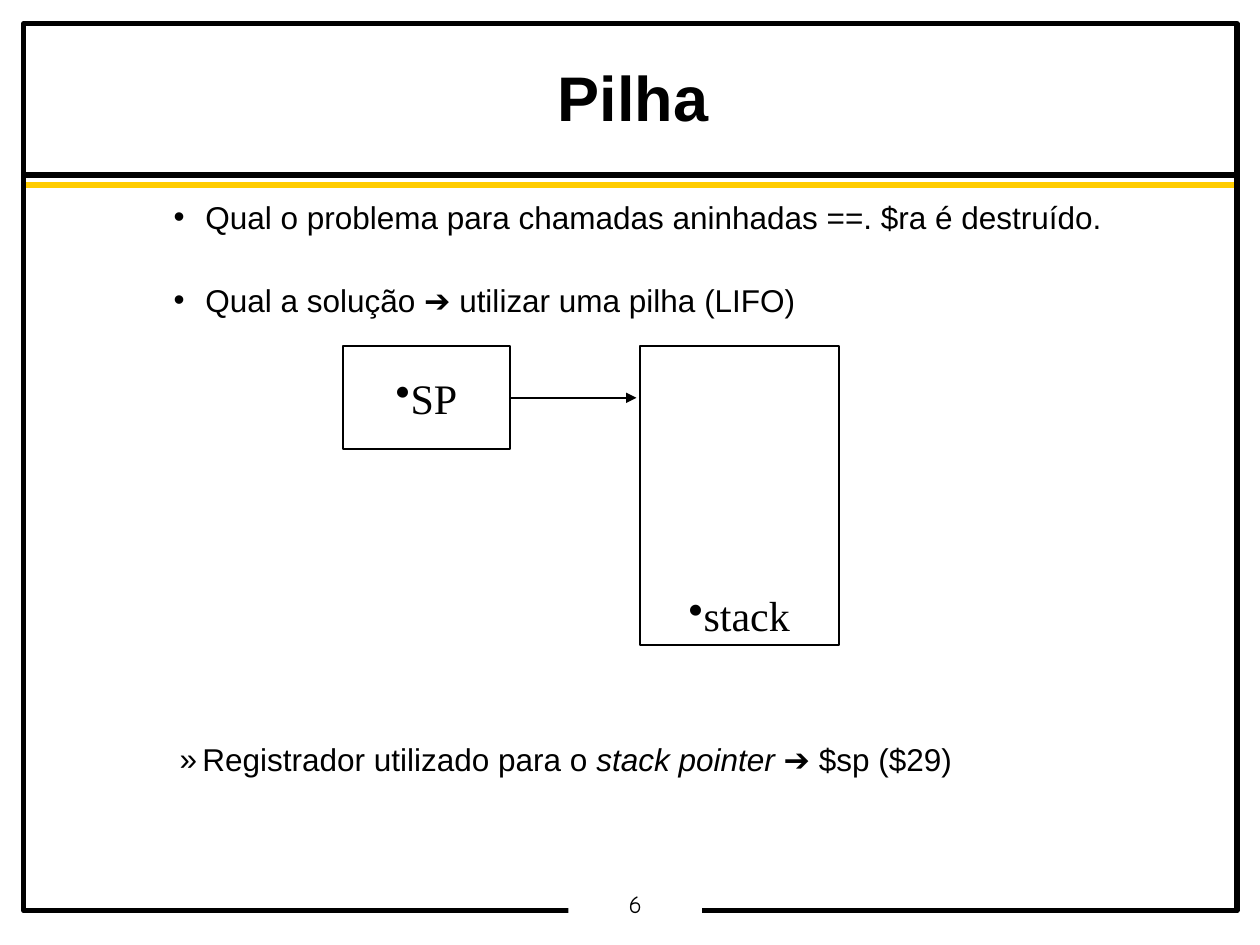
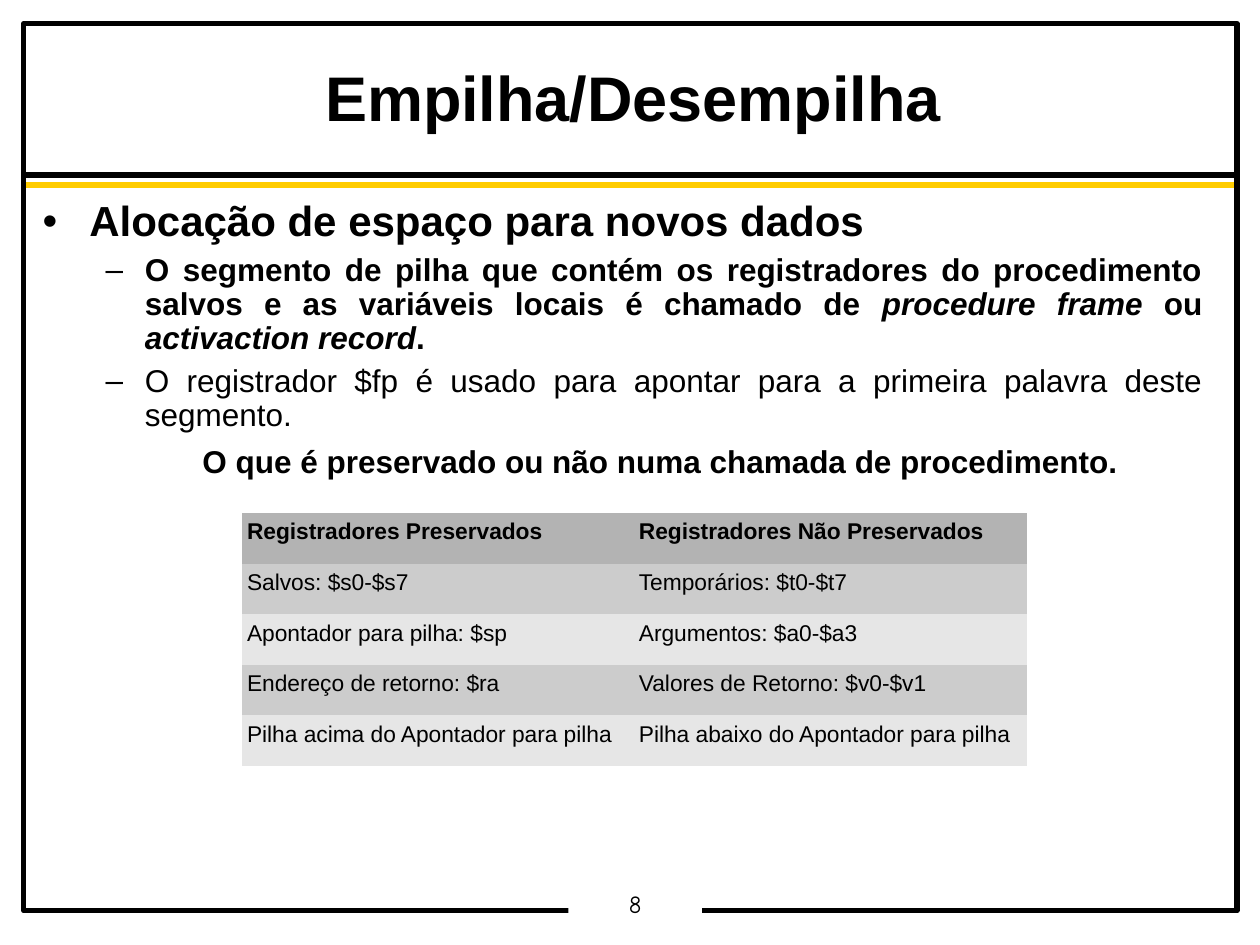
import pptx
import pptx.dml.color
import pptx.enum.shapes
import pptx.enum.text
import pptx.oxml
import pptx.oxml.ns
import pptx.util

Cm = pptx.util.Cm
Pt = pptx.util.Pt
Align = pptx.enum.text.PP_ALIGN
Anchor = pptx.enum.text.MSO_ANCHOR

COLORS = {
    "ink": "000000",
    "paper": "FFFFFF",
    "gold": "FFCC00",
    "header": "B3B3B3",
    "odd_row": "CCCCCC",
    "even_row": "E6E6E6",
}
NO_GRID_STYLE = "{2D5ABB26-0587-4C30-8999-92F81FD0307C}"


def color(name):
    return pptx.dml.color.RGBColor.from_string(COLORS[name])


def add_element(parent, tag, **attributes):
    element = pptx.oxml.parse_xml(f"<{tag} {pptx.oxml.ns.nsdecls('a')}/>")
    for name, value in attributes.items():
        element.set(name, value)
    parent.append(element)
    return element


class SlideBuilder:
    """Holds the deck's style and the slide being filled."""

    font = "Arial"
    box_font = "Times New Roman"
    number_font = "Comic Neue"
    insets = (0.25, 0.13, 0.25, 0.13)

    def __init__(self, deck):
        self.deck = deck
        self.slide = None

    def start(self, title, number):
        self.slide = self.deck.slides.add_slide(self.deck.slide_layouts[1])
        for y, line_color in ((3.53, "ink"), (3.73, "gold")):
            self.line((0.51, y), (24.99, y), line_color, 3)
        self.box(0.48, 0.48, 24.46, 17.88, line_width=3, fill=None)
        page = self.box(11.46, 17.91, 2.69, 0.69)
        frame = self.frame(page, (0.18, 0.08, 0.18, 0.08))
        self.para(frame, [(number, "")], 14, Align.CENTER,
                  font=self.number_font, spacing=0.9)
        heading = self.slide.shapes.title
        self.place(heading, 0.51, 0.51, 24.51, 3)
        self.para(self.frame(heading, anchor=Anchor.MIDDLE), [(title, "b")],
                  36, Align.CENTER, spacing=0.95)

    def place(self, shape, left, top, width, height):
        shape.left, shape.top = Cm(left), Cm(top)
        shape.width, shape.height = Cm(width), Cm(height)

    def frame(self, shape, insets=insets, anchor=Anchor.TOP, wrap=True):
        frame = shape.text_frame
        frame.auto_size = pptx.enum.text.MSO_AUTO_SIZE.NONE
        frame.word_wrap = wrap
        frame.vertical_anchor = anchor
        (frame.margin_left, frame.margin_top,
         frame.margin_right, frame.margin_bottom) = map(Cm, insets)
        return frame

    def para(self, frame, spans, size, align, font=font, level=0,
             indent=(0, 0), bullet=None, spacing=1.0, before=0):
        """Adds a paragraph; spans are (text, style) with b and i as styles."""
        first = frame.paragraphs[0]
        para = frame.add_paragraph() if first.runs else first
        para.alignment, para.level = align, level
        para.line_spacing, para.space_before = spacing, Pt(before)
        properties = para._p.get_or_add_pPr()
        properties.set("marL", str(Cm(indent[0])))
        properties.set("indent", str(Cm(indent[1])))
        if bullet:
            bullet_color = add_element(properties, "a:buClr")
            add_element(bullet_color, "a:srgbClr", val=COLORS["ink"])
            add_element(properties, "a:buChar", char=bullet)
        else:
            add_element(properties, "a:buNone")
        for text, style in spans:
            span = para.add_run()
            span.text = text
            span.font.name, span.font.size = font, Pt(size)
            span.font.bold, span.font.italic = "b" in style, "i" in style
            span.font.color.rgb = color("ink")

    def body(self, left, top, width, height):
        body = self.slide.placeholders[1]
        self.place(body, left, top, width, height)
        return self.frame(body)

    def box(self, left, top, width, height, line_width=0, fill="paper"):
        box = self.slide.shapes.add_shape(
            pptx.enum.shapes.MSO_SHAPE.RECTANGLE,
            Cm(left), Cm(top), Cm(width), Cm(height))
        box.shadow.inherit = False
        if fill:
            box.fill.solid()
            box.fill.fore_color.rgb = color(fill)
        else:
            box.fill.background()
        if line_width:
            box.line.color.rgb = color("ink")
            box.line.width = Pt(line_width)
        else:
            box.line.fill.background()
        return box

    def labelled_box(self, label, place, anchor, bottom_inset=0.13):
        box = self.box(*place, line_width=1)
        frame = self.frame(box, (*self.insets[:3], bottom_inset), anchor, wrap=False)
        self.para(frame, [(label, "")], 24, Align.CENTER,
                  font=self.box_font, bullet="•")
        return box

    def line(self, start, end, line_color="ink", width=1, arrow=False):
        line = self.slide.shapes.add_connector(
            pptx.enum.shapes.MSO_CONNECTOR.STRAIGHT, *map(Cm, start + end))
        line.line.color.rgb = color(line_color)
        line.line.width = Pt(width)
        if arrow:
            add_element(line.line._get_or_add_ln(), "a:tailEnd", type="triangle")
        add_element(line._element.spPr, "a:effectLst")
        return line

    def caption(self, text, left, top, width, height):
        box = self.slide.shapes.add_textbox(
            Cm(left), Cm(top), Cm(width), Cm(height))
        self.para(self.frame(box), [(text, "b")], 18, Align.CENTER,
                  indent=(1.27, -0.64))

    def table(self, rows, left, top, widths, row_height):
        table = self.slide.shapes.add_table(
            len(rows), len(widths), Cm(left), Cm(top),
            Cm(sum(widths)), Cm(row_height * len(rows))).table
        table.first_row = table.horz_banding = False
        style = table._tbl.tblPr.find(pptx.oxml.ns.qn("a:tableStyleId"))
        style.text = NO_GRID_STYLE
        for column, width in zip(table.columns, widths):
            column.width = Cm(width)
        for index, texts in enumerate(rows):
            table.rows[index].height = Cm(row_height)
            fill = ("odd_row" if index % 2 else "even_row") if index else "header"
            for cell, text in zip(table.rows[index].cells, texts):
                cell.fill.solid()
                cell.fill.fore_color.rgb = color(fill)
                cell.margin_left = cell.margin_right = Cm(0.1)
                cell.margin_top = cell.margin_bottom = Cm(0.13)
                self.para(cell.text_frame, [(text, "" if index else "b")],
                          13, Align.LEFT)


def build_stack_slide(builder):
    builder.start("Pilha", "6")
    body = builder.body(0.71, 3.94, 23.8, 13.74)
    point = {"level": 2, "indent": (3.18, -0.64), "bullet": "•"}
    note = {"level": 3, "indent": (3.12, -0.46), "bullet": "»"}
    items = [
        ([("Qual o problema para chamadas aninhadas ==. $ra é destruído.", "")],
         4.5, point),
        ([("Qual a solução ➔ utilizar uma pilha (LIFO)", "")], 28, point),
        ([("Registrador utilizado para o ", ""), ("stack pointer ", "i"),
          ("➔ $sp ($29)", "")], 243, note),
    ]
    for spans, before, layout in items:
        builder.para(body, spans, 18, Align.JUSTIFY, spacing=0.9,
                     before=before, **layout)

    builder.labelled_box("stack", (12.9, 6.98, 4.01, 6.02), Anchor.BOTTOM, 0.09)
    pointer = builder.labelled_box("SP", (6.91, 6.98, 3.38, 2.08), Anchor.MIDDLE)
    arrow = builder.line((10.29, 8.02), (12.83, 8.02), arrow=True)
    arrow.begin_connect(pointer, 3)


def build_push_pop_slide(builder):
    builder.start("Empilha/Desempilha", "8")
    body = builder.body(0.61, 3.91, 23.88, 6.86)
    style = {"align": Align.JUSTIFY, "spacing": 0.9, "before": 5}
    dash = {"level": 1, "indent": (2.06, -0.79), "bullet": "–"}
    builder.para(body, [("Alocação de espaço para novos dados", "b")], 24,
                 indent=(0.94, -0.94), bullet="•", **style)
    details = [
        [("O segmento de pilha que contém os registradores do procedimento "
          "salvos e as variáveis locais é chamado de ", "b"),
         ("procedure frame", "bi"), (" ou ", "b"),
         ("activaction record", "bi"), (".", "b")],
        [("O registrador $fp é usado para apontar para a primeira palavra "
          "deste segmento.", "")],
    ]
    for spans in details:
        builder.para(body, spans, 18, **dash, **style)

    builder.caption("O que é preservado ou não numa chamada de procedimento.",
                    2.49, 8.79, 21.01, 1.02)
    registers = [
        ("Registradores Preservados", "Registradores Não Preservados"),
        ("Salvos: $s0-$s7", "Temporários: $t0-$t7"),
        ("Apontador para pilha: $sp", "Argumentos: $a0-$a3"),
        ("Endereço de retorno: $ra", "Valores de Retorno: $v0-$v1"),
        ("Pilha acima do Apontador para pilha",
         "Pilha abaixo do Apontador para pilha"),
    ]
    builder.table(registers, 4.88, 10.34, (7.9, 7.92), 1.02)


def main():
    deck = pptx.Presentation()
    deck.slide_width, deck.slide_height = Cm(25.4), Cm(19.05)
    builder = SlideBuilder(deck)
    build_stack_slide(builder)
    build_push_pop_slide(builder)
    deck.save("out.pptx")


if __name__ == "__main__":
    main()
